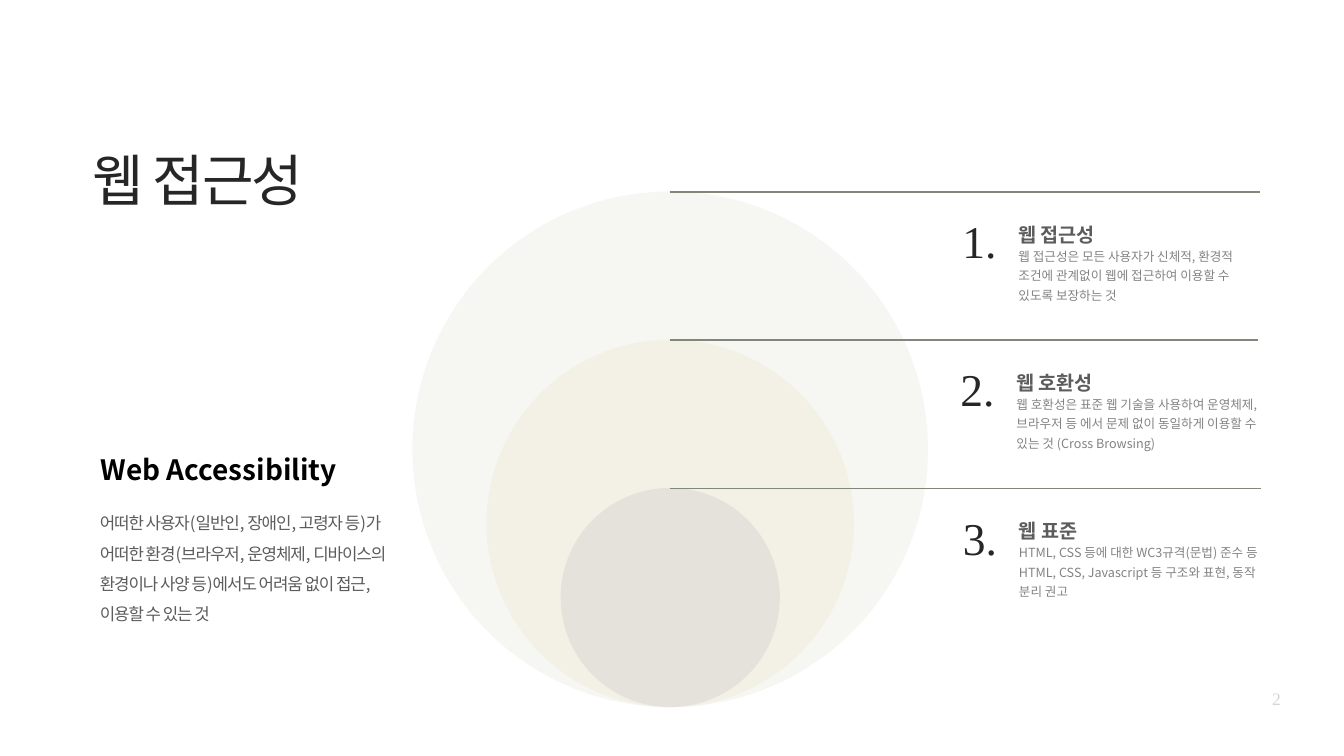
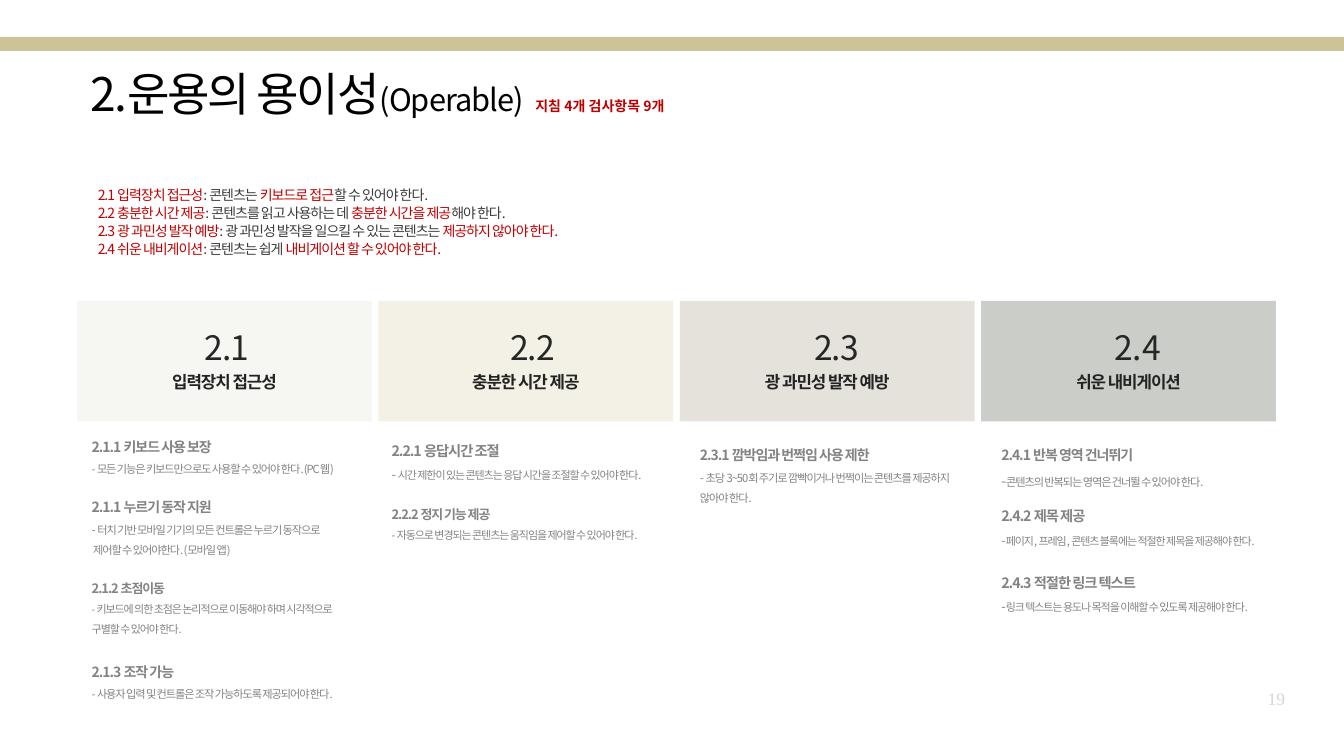
"""Build two slides on web accessibility: an overview and the Operable principle."""
from lxml.etree import SubElement
from pptx import Presentation
from pptx.dml.color import RGBColor
from pptx.enum.shapes import MSO_CONNECTOR, MSO_SHAPE
from pptx.enum.text import MSO_ANCHOR, MSO_AUTO_SIZE, PP_ALIGN
from pptx.oxml.ns import qn
from pptx.util import Inches, Pt

SANS = "Noto Sans CJK KR"
SERIF = "Times New Roman"
BLACK = RGBColor(0x00, 0x00, 0x00)
INK = RGBColor(0x26, 0x26, 0x26)
LABEL = RGBColor(0x23, 0x23, 0x23)
DARK = RGBColor(0x3C, 0x3C, 0x3C)
GREY = RGBColor(0x5C, 0x5C, 0x5C)
SOFT = RGBColor(0x83, 0x83, 0x83)
PALE = RGBColor(0xD5, 0xD5, 0xD5)
RED = RGBColor(0xC0, 0x00, 0x00)
RULE = RGBColor(0x81, 0x87, 0x79)
BAND = RGBColor(0xCD, 0xC4, 0x96)
TINTS = [RGBColor(0xF6, 0xF6, 0xF3), RGBColor(0xF3, 0xF1, 0xE6),
         RGBColor(0xE5, 0xE2, 0xDC), RGBColor(0xCB, 0xCE, 0xC8)]
LEFT = {"alignment": PP_ALIGN.LEFT, "space_before": Pt(0)}
MID = {"alignment": PP_ALIGN.CENTER}


def write(shape, lines, base, form, pad=0.06):
    """Fill a shape with lines, each a list of (text, look) runs."""
    frame = shape.text_frame
    setup = {"word_wrap": True, "auto_size": MSO_AUTO_SIZE.NONE,
             "vertical_anchor": MSO_ANCHOR.TOP}
    setup.update({f"margin_{side}": Inches(pad)
                  for side in ("left", "top", "right", "bottom")})
    for key, val in setup.items():
        setattr(frame, key, val)
    for i, line in enumerate(lines):
        para = frame.add_paragraph() if i else frame.paragraphs[0]
        for key, val in form.items():
            setattr(para, key, val)
        for text, look in line:
            run = para.add_run()
            run.text = text
            look = {"name": SANS, "bold": False, "spc": 0, **base, **look}
            run.font.color.rgb = look.pop("ink")
            run.font.size = Pt(look.pop("size"))
            props = run.font._element
            props.set("spc", str(int(look.pop("spc") * 100)))
            for key, val in look.items():
                setattr(run.font, key, val)
            SubElement(props, qn("a:ea")).set("typeface", look["name"])


def draw(slide, kind, at, fill=None):
    """Add a text box, or a plain filled shape when a kind is given."""
    spot = [Inches(n) for n in at]
    if kind is None:
        return slide.shapes.add_textbox(*spot)
    shape = slide.shapes.add_shape(kind, *spot)
    shape.shadow.inherit = False
    shape.fill.solid()
    shape.fill.fore_color.rgb = fill
    shape.line.fill.background()
    return shape


deck = Presentation()
deck.slide_width = Inches(26.67)
deck.slide_height = Inches(15)

slides = []
for page, head, body in [("2", (1.78, 2.82, 11.94, 2.08), (1.92, 9.92, 6.27, 3.38)),
                         ("19", (1.74, 1.24, 13.83, 1.31), (1.74, 3.66, 10.93, 1.7))]:
    slide = deck.slides.add_slide(deck.slide_layouts[1])
    for hold, spot in zip(slide.placeholders, (head, body)):
        for key, val in zip(("left", "top", "width", "height"), spot):
            setattr(hold, key, Inches(val))
    write(draw(slide, None, (25.08, 13.6, 0.5, 0.53)), [[(page, {})]],
          {"size": 25, "ink": PALE, "name": SERIF}, MID)
    slides.append(slide)
first, second = slides

write(first.shapes.title, [[("웹 접근성", {})]],
      {"size": 80, "ink": INK, "spc": -3}, LEFT)
goal = first.placeholders[1]
write(goal, [[("어떠한 사용자(일반인, 장애인, 고령자 등)가 어떠한 환경(브라우저, 운영체제, "
               "디바이스의 환경이나 사양 등)에서도 어려움 없이 접근, 이용할 수 있는 것", {})]],
      {"size": 24, "ink": GREY, "spc": -1.5}, {**LEFT, "line_spacing": 1.5})
write(draw(first, None, (1.92, 8.89, 5.36, 0.83)), [[("Web Accessibility", {})]],
      {"size": 40, "ink": BLACK, "bold": True}, {}, 0.08)

STEP = 2.94
for i in range(3):
    size = 10.23 - i * STEP
    draw(first, MSO_SHAPE.OVAL, (13.3 - size / 2, 14.03 - size, size, size), TINTS[i])

parts = [
    (20.13, "웹 접근성", ["웹 접근성은 모든 사용자가 신체적, 환경적 조건에 관계없이 웹에 접근하여 "
                      "이용할 수 있도록 보장하는 것"]),
    (20.09, "웹 호환성", ["웹 호환성은 표준 웹 기술을 사용하여 운영체제, 브라우저 등 에서 문제 없이 "
                      "동일하게 이용할 수 있는 것 (Cross Browsing)"]),
    (20.14, "웹 표준", ["HTML, CSS 등에 대한 WC3규격(문법) 준수 등",
                     "HTML, CSS, Javascript 등 구조와 표현, 동작 분리 권고"]),
]
for i, (left, name, notes) in enumerate(parts):
    top = 3.81 + i * STEP
    rule = first.shapes.add_connector(MSO_CONNECTOR.STRAIGHT, Inches(13.29), Inches(top),
                                      Inches(left + 4.88), Inches(top))
    rule.line.color.rgb = RULE
    rule.line.width = Pt(2)
    SubElement(rule._element.spPr, qn("a:effectLst"))
    write(draw(first, None, (left, top + 0.95, 4.96, 1.39)), [[(note, {})] for note in notes],
          {"size": 18, "ink": SOFT}, {"line_spacing": 1.3}, 0.08)
    write(draw(first, None, (left - 1.09, top + 0.36, 0.94, 1.5)), [[(f"{i + 1}.", {})]],
          {"size": 65, "ink": INK, "name": SERIF}, {})
    write(draw(first, None, (left, top + 0.3, 4.96, 0.58)), [[(name, {})]],
          {"size": 28, "ink": GREY, "bold": True}, {"line_spacing": 1.5}, 0.08)

draw(second, MSO_SHAPE.RECTANGLE, (0, 0.73, 26.67, 0.28), BAND)
write(second.shapes.title,
      [[("2.운용의 용이성", {"size": 66, "spc": -3}),
        ("(Operable)  ", {"size": 44, "spc": -1.5}),
        ("지침 4개 검사항목 9개", {"size": 20, "ink": RED, "bold": True})]],
      {"ink": BLACK}, LEFT)

red, dark = {"ink": RED}, {"ink": DARK}
rules = [
    [("2.1 입력장치 접근성", red), (": 콘텐츠는 ", dark),
     ("키보드로 접근", red), ("할 수 있어야 한다.", dark)],
    [("2.2 충분한 시간 제공", red), (": 콘텐츠를 읽고 사용하는 데 ", dark),
     ("충분한 시간을 제공", red), ("해야 한다.", dark)],
    [("2.3 광 과민성 발작 예방", red), (": 광 과민성 발작을 일으킬 수 있는 콘텐츠는 ", dark),
     ("제공하지 않아야 한다.", red)],
    [("2.4 쉬운 내비게이션", red), (": 콘텐츠는 쉽게 ", dark),
     ("내비게이션 할 수 있어야 한다.", red)],
]
guide = second.placeholders[1]
write(guide, rules, {"size": 20, "spc": -1.5}, LEFT, 0.05)
guide.text_frame.margin_left = Inches(0.1)
for para in guide.text_frame.paragraphs[1:]:
    para.space_before = Pt(1.5)
for hold, inset in ((goal, 0), (guide, 0.1)):
    for para in hold.text_frame.paragraphs:
        props = para._p.get_or_add_pPr()
        props.set("marL", str(Inches(inset)))
        props.set("indent", "0")
        SubElement(props, qn("a:buNone"))

cards = [("입력장치 접근성", 4.51, -1.5), ("충분한 시간 제공", 10.57, -1.5),
         ("광 과민성 발작 예방", 16.6, -1.5), ("쉬운 내비게이션", 22.57, 0)]
for i, (name, mid, gap) in enumerate(cards):
    card = draw(second, MSO_SHAPE.RECTANGLE, (1.53 + i * 5.98, 5.97, 5.85, 2.39), TINTS[i])
    write(card, [[(name, {})]], {"size": 24, "ink": LABEL, "bold": True, "spc": -1.5}, MID)
    card.text_frame.vertical_anchor = MSO_ANCHOR.MIDDLE
    card.text_frame.margin_top = Inches(0.89)
    write(draw(second, None, (mid - 0.7, 6.42, 1.4, 1.5)), [[(f"2.{i + 1}", {})]],
          {"size": 48, "ink": INK, "spc": gap}, MID)

checks = [
    (1.76, 8.47, 1.08, "2.1.1 키보드 사용 보장", 20, "- ", 16, 16,
     ["모든 기능은 키보드만으로도 사용할 수 있어야 한다. (PC웹)"]),
    (1.76, 9.67, 1.51, "2.1.1 누르기 동작 지원", 20, "- ", 17, 16,
     ["터치 기반 모바일 기기의 모든 컨트롤은 누르기 동작으로", " 제어할 수 있어야한다. (모바일 앱)"]),
    (1.76, 11.31, 1.51, "2.1.2 초점이동", 18.5, "- ", 14.8, 15.7,
     ["키보드에 의한 초점은 논리적으로 이동해야 하며 시각적으로", "구별할 수 있어야 한다."]),
    (1.76, 12.94, 1.23, "2.1.3 조작 가능", 20, "- ", 16, 16,
     ["사용자 입력 및 컨트롤은 조작 가능하도록 제공되어야 한다."]),
    (7.71, 8.54, 1.13, "2.2.1 응답시간 조절", 20.4, "- ", 18.5, 15.7,
     ["시간 제한이 있는 콘텐츠는 응답 시간을 조절할 수 있어야 한다."]),
    (7.71, 9.84, 1.13, "2.2.2 정지 기능 제공", 18.5, "- ", 15.7, 15.7,
     ["자동으로 변경되는 콘텐츠는 움직임을 제어할 수 있어야 한다."]),
    (13.83, 8.64, 1.66, "2.3.1 깜박임과 번쩍임 사용 제한", 20, "- ", 17, 16,
     ["초당 3~50회 주기로 깜빡이거나 번쩍이는 콘텐츠를 제공하지 않아야 한다."]),
    (19.81, 8.64, 1.23, "2.4.1 반복 영역 건너뛰기", 20, "-", 20, 16,
     ["콘텐츠의 반복되는 영역은 건너뛸 수 있어야 한다."]),
    (19.81, 9.84, 1.23, "2.4.2 제목 제공", 20.4, "-", 18.5, 15.7,
     ["페이지, 프레임, 콘텐츠 블록에는 적절한 제목을 제공해야 한다."]),
    (19.81, 11.16, 1.23, "2.4.3 적절한 링크 텍스트", 20.4, "-", 18.5, 15.7,
     ["링크 텍스트는 용도나 목적을 이해할 수 있도록 제공해야 한다."]),
]
for left, top, high, head, big, dash, mark, small, notes in checks:
    lines = [[(note, {"size": small})] for note in notes]
    lines[0].insert(0, (dash, {"size": mark}))
    write(draw(second, None, (left, top, 5.52, high)),
          [[(head, {"size": big, "bold": True})], *lines],
          {"ink": SOFT, "spc": -1.5}, {"line_spacing": 1.5})

deck.save("out.pptx")
